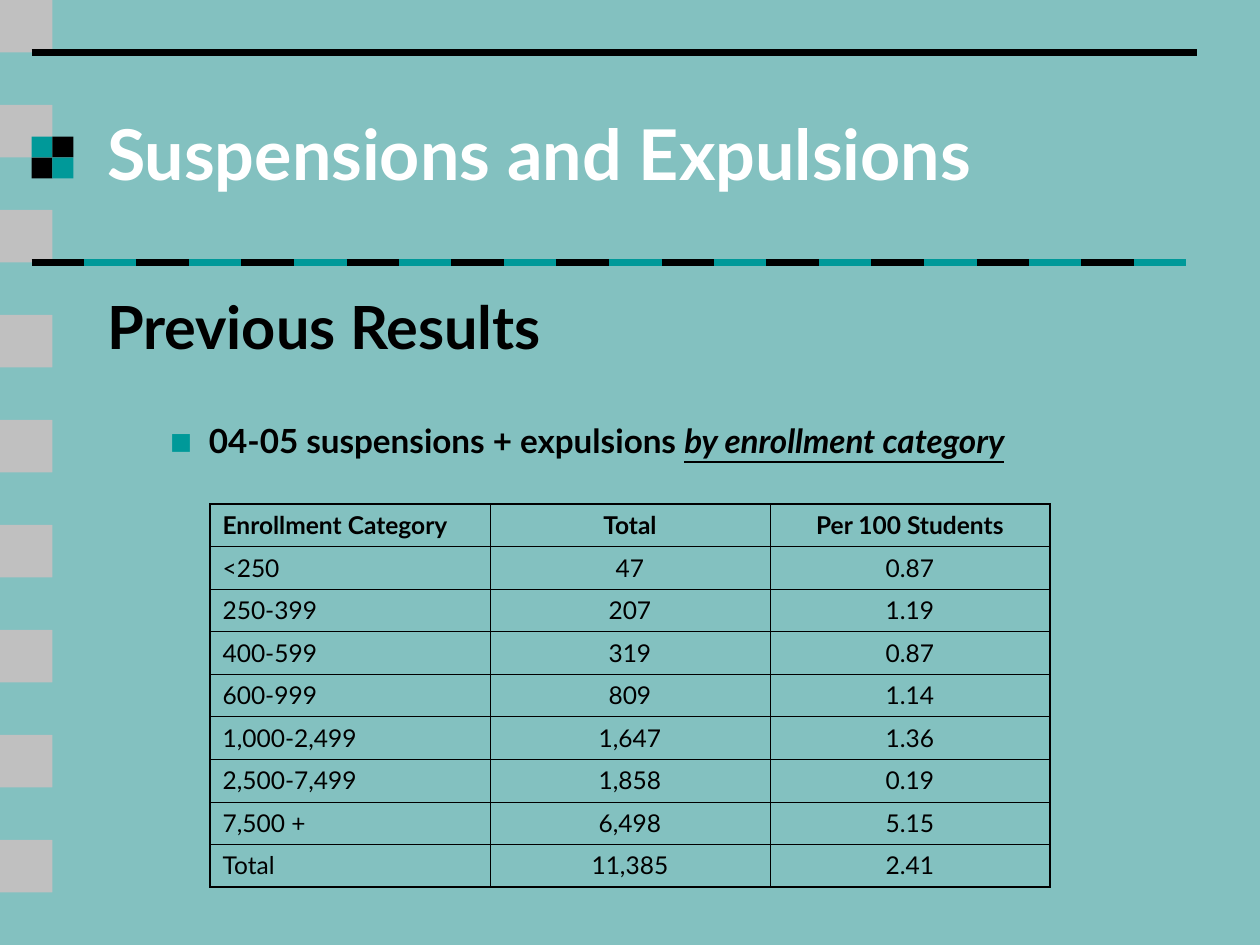
import pptx
import pptx.dml.color
import pptx.enum.shapes
import pptx.enum.text
import pptx.oxml.ns
import pptx.util
from lxml import etree

SCALE = 914400 // 120
BLACK, TEAL, SILVER, WHITE, AQUA = "000000", "009999", "C0C0C0", "FFFFFF", "83C1C0"
FONT = "Lato"
LEFT = pptx.enum.text.PP_ALIGN.LEFT
CENTER = pptx.enum.text.PP_ALIGN.CENTER
TILE = 50
ROWS = [
    ("Enrollment Category", "Total", "Per 100 Students"),
    ("<250", "47", "0.87"),
    ("250-399", "207", "1.19"),
    ("400-599", "319", "0.87"),
    ("600-999", "809", "1.14"),
    ("1,000-2,499", "1,647", "1.36"),
    ("2,500-7,499", "1,858", "0.19"),
    ("7,500 +", "6,498", "5.15"),
    ("Total", "11,385", "2.41"),
]


def px(value):
    return pptx.util.Emu(value * SCALE)


def color(value):
    return pptx.dml.color.RGBColor.from_string(value)


def add_child(parent, tag, **attributes):
    return etree.SubElement(parent, pptx.oxml.ns.qn(tag), attributes)


def add_text(paragraph, text, size, fill=BLACK, bold=False, italic=False,
             underline=False, align=LEFT, before=0):
    paragraph.alignment = align
    paragraph.space_before = pptx.util.Pt(before)
    run = paragraph.add_run()
    run.text = text
    font = run.font
    font.name, font.size = FONT, pptx.util.Pt(size)
    font.bold, font.italic, font.underline = bold, italic, underline
    font.color.rgb = color(fill)


def set_indent(paragraph, margin, indent, bullet=None):
    properties = paragraph._p.get_or_add_pPr()
    properties.set("marL", str(px(margin)))
    properties.set("indent", str(px(indent)))
    if bullet is None:
        add_child(properties, "a:buNone")
        return
    add_child(add_child(properties, "a:buClr"), "a:srgbClr", val=TEAL)
    add_child(properties, "a:buSzPct", val="70000")
    add_child(properties, "a:buFont", typeface=FONT)
    add_child(properties, "a:buChar", char=bullet)


def add_square(slide, left, top, size, fill):
    shape = slide.shapes.add_shape(
        pptx.enum.shapes.MSO_SHAPE.RECTANGLE, px(left), px(top), px(size), px(size))
    shape.shadow.inherit = False
    shape.fill.solid()
    shape.fill.fore_color.rgb = color(fill)
    shape.line.fill.background()


def add_rule(slide, left, top, width, fill):
    connector = slide.shapes.add_connector(
        pptx.enum.shapes.MSO_CONNECTOR.STRAIGHT,
        px(left), px(top), px(left + width), px(top))
    connector.line.color.rgb = color(fill)
    connector.line.width = pptx.util.Pt(4.5)
    add_child(connector._element.spPr, "a:effectLst")


def add_side_tiles(slide, left, top, count):
    for index in range(count):
        add_square(slide, left, top + index * 2 * TILE, TILE, SILVER)


def add_checker(slide, left, top, size):
    for row in range(2):
        for column in range(2):
            fill = TEAL if row == column else BLACK
            add_square(slide, left + column * size, top + row * size, size, fill)


def add_dashed_rule(slide, left, top, count):
    for index in range(count):
        add_rule(slide, left + index * TILE, top, TILE, TEAL if index % 2 else BLACK)


def place_placeholder(placeholder, left, top, width, height):
    placeholder.left, placeholder.top = px(left), px(top)
    placeholder.width, placeholder.height = px(width), px(height)
    frame = placeholder.text_frame
    frame.word_wrap = True
    frame.auto_size = pptx.enum.text.MSO_AUTO_SIZE.NONE
    return frame


def fill_title(slide, left, top, width, height):
    frame = place_placeholder(slide.shapes.title, left, top, width, height)
    frame.vertical_anchor = pptx.enum.text.MSO_ANCHOR.MIDDLE
    add_text(frame.paragraphs[0], "Suspensions and Expulsions", 40, fill=WHITE, bold=True)


def fill_body(slide, left, top, width, height):
    frame = place_placeholder(slide.placeholders[1], left, top, width, height)
    heading = frame.paragraphs[0]
    set_indent(heading, 45, -45)
    add_text(heading, "Previous Results", 34, bold=True)
    item = frame.add_paragraph()
    item.level = 1
    set_indent(item, 97, -37, bullet="■")
    add_text(item, "04-05 suspensions + expulsions ", 19, bold=True, before=33.8)
    add_text(item, "by enrollment category", 19, bold=True, italic=True,
             underline=True, before=33.8)


def set_borders(cell, heavy_sides):
    properties = cell._tc.get_or_add_tcPr()
    for side in "LRTB":
        width = pptx.util.Pt(1.08 if side in heavy_sides else 0.45)
        line = add_child(properties, "a:ln" + side, w=str(width))
        add_child(add_child(line, "a:solidFill"), "a:srgbClr", val=BLACK)


def add_enrollment_table(slide, left, top, width, height):
    last_row, last_column = len(ROWS) - 1, len(ROWS[0]) - 1
    table = slide.shapes.add_table(
        len(ROWS), len(ROWS[0]), px(left), px(top), px(width), px(height)).table
    table.first_row = table.horz_banding = False
    for row, values in enumerate(ROWS):
        for column, value in enumerate(values):
            cell = table.cell(row, column)
            heavy = {"L": column == 0, "R": column == last_column,
                     "T": row <= 1, "B": row in (0, last_row)}
            set_borders(cell, [side for side in heavy if heavy[side]])
            cell.fill.background()
            add_text(cell.text_frame.paragraphs[0], value, 14, bold=row == 0,
                     align=CENTER if column else LEFT)


def main():
    presentation = pptx.Presentation()
    presentation.slide_width, presentation.slide_height = px(1200), px(900)
    slide = presentation.slides.add_slide(presentation.slide_layouts[1])
    slide.background.fill.solid()
    slide.background.fill.fore_color.rgb = color(AQUA)
    add_side_tiles(slide, 0, 0, 9)
    add_rule(slide, 30, 50, 1110, BLACK)
    add_checker(slide, 30, 130, 20)
    add_dashed_rule(slide, 30, 250, 22)
    fill_title(slide, 90, 70, 1020, 150)
    fill_body(slide, 90, 270, 1020, 540)
    add_enrollment_table(slide, 200, 480, 800, 365)
    presentation.save("out.pptx")


if __name__ == "__main__":
    main()
